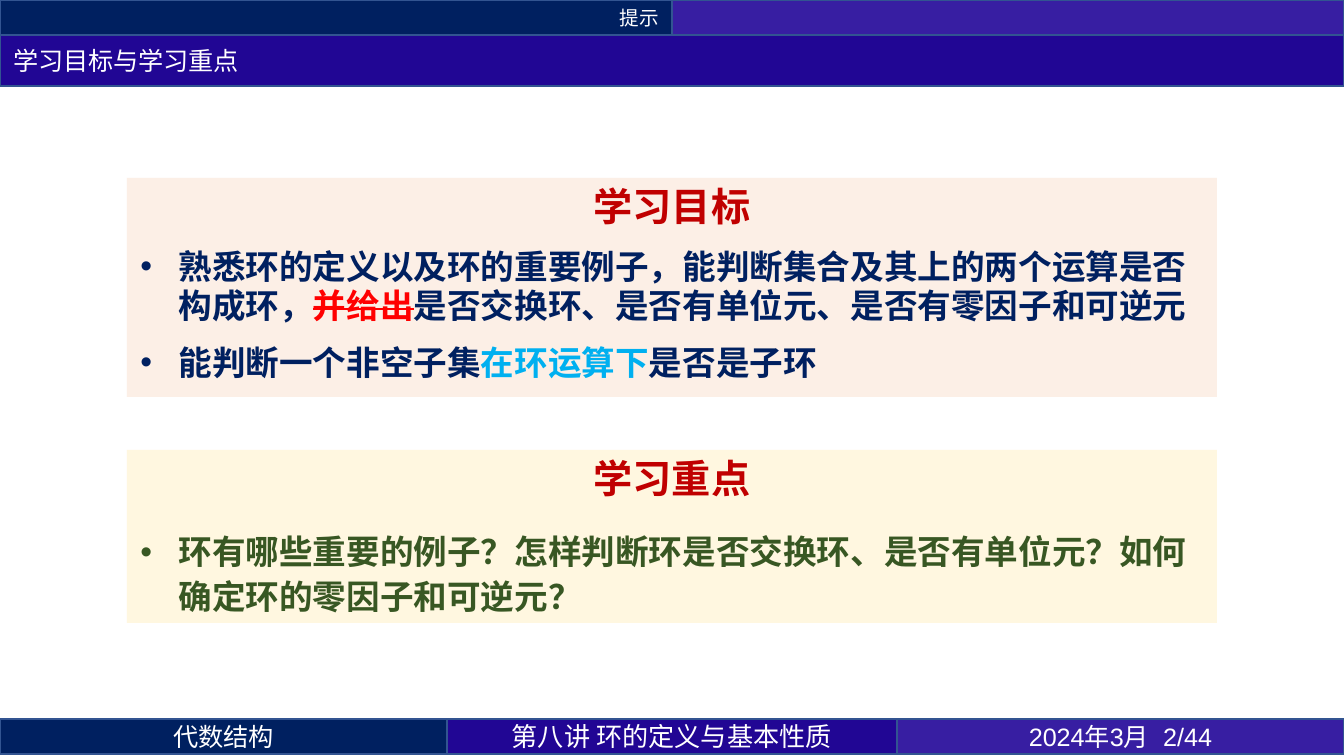
from lxml.etree import SubElement
from pptx import Presentation
from pptx.dml.color import RGBColor
from pptx.enum.shapes import MSO_SHAPE
from pptx.enum.text import MSO_ANCHOR, MSO_AUTO_SIZE, PP_ALIGN
from pptx.oxml.ns import qn
from pptx.util import Pt

PX = 914400 / 134.4
WIDTH, HEIGHT = 1344, 756
CJK = "Noto Sans CJK SC"
COLORS = {
    "navy": "002060", "indigo": "210694", "violet": "371EA2", "edge": "325491",
    "white": "FFFFFF", "peach": "FBE5D6", "cream": "FFF2CC", "crimson": "C00000",
    "red": "FF0000", "sky": "00B0F0", "green": "385723",
}


def px(value):
    return round(value * PX)


def rgb(name):
    return RGBColor.from_string(COLORS[name])


def place(shape, box):
    shape.left, shape.top, shape.width, shape.height = map(px, box)


def add_span(para, text, color, size, name=CJK, bold=False, strike=False):
    """Add a run; East Asian glyphs always use the CJK font."""
    span = para.add_run()
    span.text = text
    for key, value in {"size": Pt(size), "name": name, "bold": bold}.items():
        setattr(span.font, key, value)
    span.font.color.rgb = rgb(color)
    props = span.font._element
    if strike:
        props.set("strike", "sngStrike")
    SubElement(props, qn("a:ea"), typeface=CJK)


def set_bullet(para, char=None):
    """Give a hanging bullet, or clear the inherited one."""
    props = para._p.get_or_add_pPr()
    hang = px(38) if char else 0
    props.set("marL", str(hang))
    props.set("indent", str(-hang))
    if char:
        SubElement(props, qn("a:buFont"), typeface="Arial")
        SubElement(props, qn("a:buChar"), char=char)
    else:
        SubElement(props, qn("a:buNone"))


def format_para(para, **values):
    for key, value in values.items():
        setattr(para, key, value)


def format_bar(bar, box, fill, text="", align=PP_ALIGN.CENTER, size=13.5, name=CJK):
    place(bar, box)
    bar.fill.solid()
    bar.fill.fore_color.rgb = rgb(fill)
    bar.line.color.rgb = rgb("edge")
    bar.line.width = Pt(1)
    frame = bar.text_frame
    frame.auto_size = MSO_AUTO_SIZE.NONE
    frame.vertical_anchor = MSO_ANCHOR.MIDDLE
    if text:
        para = frame.paragraphs[0]
        para.alignment = align
        add_span(para, text, "white", size, name)


def add_bar(page, box, *args, **kwargs):
    bar = page.shapes.add_shape(MSO_SHAPE.RECTANGLE, *map(px, box))
    bar.shadow.inherit = False
    format_bar(bar, box, *args, **kwargs)


def build_header(page, box):
    left, top, width, height = box
    half, tab = width // 2, 35
    add_bar(page, (left, top, half, tab), "navy", "提示", PP_ALIGN.RIGHT, 10.5)
    add_bar(page, (left + half, top, half, tab), "violet")
    format_bar(page.shapes.title, (left, top + tab, width, height - tab), "indigo",
               "学习目标与学习重点", PP_ALIGN.LEFT, name="Calibri")


def build_footer(page, box):
    left, top, width, height = box
    middle = 450
    side = (width - middle) // 2
    cells = [
        (side, "navy", "代数结构", {}),
        (middle, "indigo", "第八讲 环的定义与基本性质", {"size": 14}),
        (side, "violet", "2024年3月\t2/44", {"name": "Arial"}),
    ]
    for cell_width, fill, text, style in cells:
        add_bar(page, (left, top, cell_width, height), fill, text, **style)
        left += cell_width


def build_panel(panel, box, fill, heading, items, before, spacing):
    """Fill a body placeholder with a centred heading and bulleted items."""
    place(panel, box)
    panel.fill.solid()
    panel.fill.fore_color.rgb = rgb(fill)
    color = panel._element.spPr.find(qn("a:solidFill"))[0]
    SubElement(color, qn("a:alpha"), val="60000")
    frame = panel.text_frame
    frame.auto_size = MSO_AUTO_SIZE.NONE
    frame.vertical_anchor = MSO_ANCHOR.TOP
    title = frame.paragraphs[0]
    set_bullet(title)
    format_para(title, alignment=PP_ALIGN.CENTER, line_spacing=Pt(24),
                space_before=Pt(0), space_after=Pt(4.5))
    add_span(title, heading, "crimson", 21, bold=True)
    for spans in items:
        para = frame.add_paragraph()
        set_bullet(para, "•")
        format_para(para, alignment=PP_ALIGN.LEFT, line_spacing=Pt(spacing),
                    space_before=Pt(before), space_after=Pt(4.5))
        for text, color, style in spans:
            add_span(para, text, color, 18, **{"name": "Arial", "bold": True, **style})


def main():
    deck = Presentation()
    deck.slide_width, deck.slide_height = px(WIDTH), px(HEIGHT)
    page = deck.slides.add_slide(deck.slide_layouts[3])
    build_header(page, (0, 0, WIDTH, 86))
    build_footer(page, (0, 719, WIDTH, 35))
    goals = [
        [("熟悉环的定义以及环的重要例子，能判断集合及其上的两个运算是否构成环，", "navy", {}),
         ("并给出", "red", {"name": "Noto Sans CJK JP", "strike": True}),
         ("是否交换环、是否有单位元、是否有零因子和可逆元", "navy", {})],
        [("能判断一个非空子集", "navy", {}),
         ("在环运算下", "sky", {}),
         ("是否是子环", "navy", {})],
    ]
    focus = [[("环有哪些重要的例子？怎样判断环是否交换环、是否有单位元？"
               "如何确定环的零因子和可逆元？", "green", {})]]
    build_panel(page.placeholders[1], (127, 178, 1090, 219), "peach",
                "学习目标", goals, before=4.5, spacing=21.2)
    build_panel(page.placeholders[2], (127, 450, 1090, 173), "cream",
                "学习重点", focus, before=9, spacing=24)
    deck.save("out.pptx")


if __name__ == "__main__":
    main()
